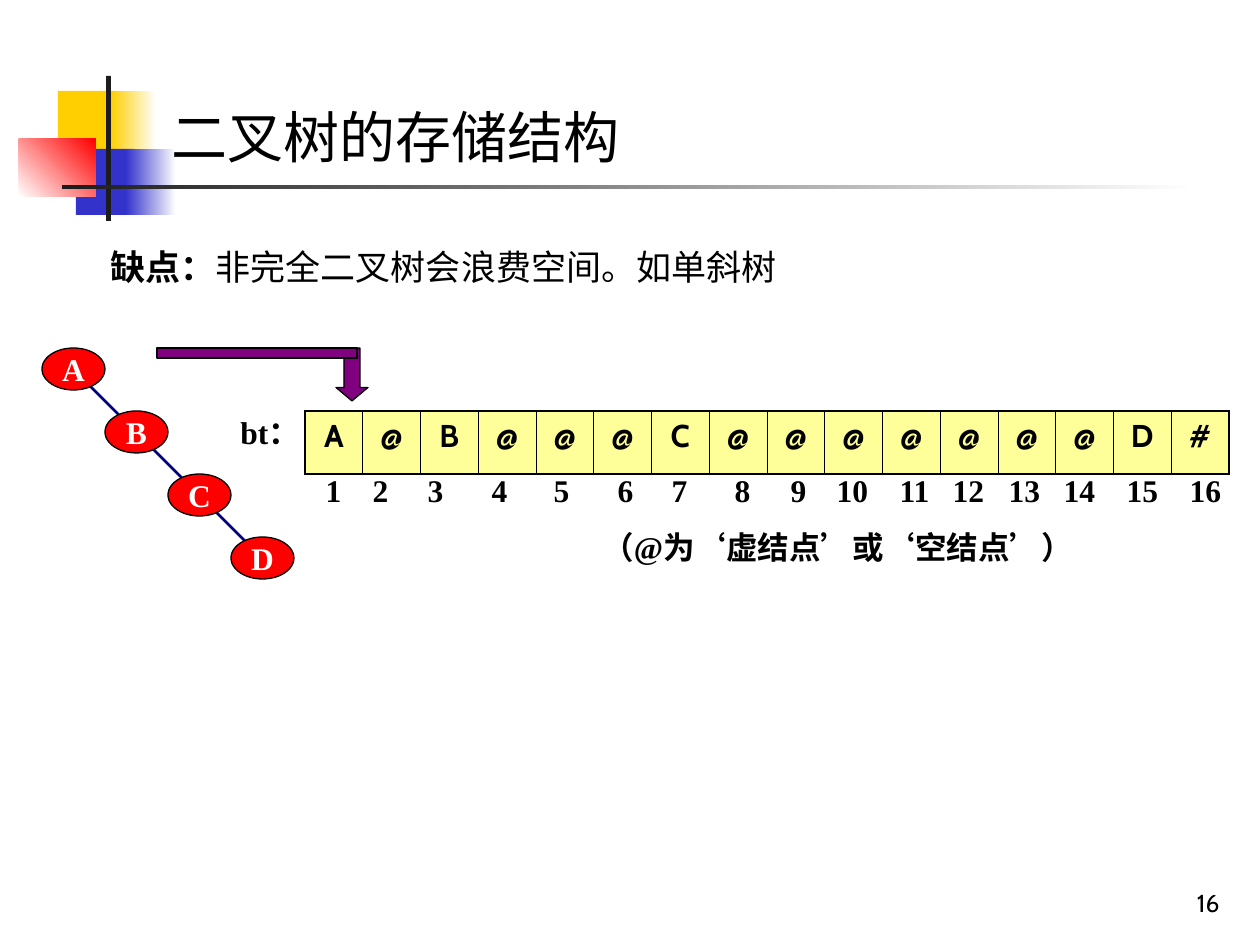
from lxml import etree
from pptx import Presentation
from pptx import util as u
from pptx.dml.color import RGBColor
from pptx.enum import shapes, text
from pptx.oxml import ns

BLACK = RGBColor(0x00, 0x00, 0x00)
WHITE = RGBColor(0xFF, 0xFF, 0xFF)
CHARCOAL = RGBColor(0x1C, 0x1C, 0x1C)
GOLD = RGBColor(0xFF, 0xCF, 0x01)
BLUE = RGBColor(0x33, 0x33, 0xCC)
RED = RGBColor(0xFF, 0x00, 0x00)
NAVY = RGBColor(0x00, 0x00, 0x80)
PURPLE = RGBColor(0x80, 0x00, 0x80)
PALE_YELLOW = RGBColor(0xFF, 0xFF, 0x99)

SANS, SERIF, CJK = "Cabin", "Times New Roman", "Noto Sans CJK JP"
NODES = "ABCD"
STORED = "A@B@@@C@@@@@@@D#"
INDEX_CENTERS = [334, 381, 436, 500, 562, 626, 680, 743,
                 799, 853, 915, 969, 1025, 1080, 1143, 1206]
ARRAY_LEFT = 212
INSET = 13


def px(length):
    """Turn pixels into EMU."""
    return u.Emu(round(length * 914400 / 126))


def child(parent, tag, **attributes):
    """Append a DrawingML element to a parent."""
    values = {name: str(value) for name, value in attributes.items()}
    return etree.SubElement(parent, ns.qn(tag), values)


def add_span(para, words, *, size=18, font=SERIF, bold=False, color=BLACK):
    """Add a formatted run to a paragraph."""
    span = para.add_run()
    span.text = words
    span.font.size = u.Pt(size)
    span.font.bold = bold
    span.font.color.rgb = color
    span.font.name = font
    child(span.font._element, "a:ea", typeface=CJK)


def add_box(page, left, top, width, height, anchor=text.MSO_ANCHOR.TOP):
    """Add a wrapping text box and return its frame."""
    frame = page.shapes.add_textbox(px(left), px(top), px(width), px(height)).text_frame
    frame.word_wrap = True
    frame.vertical_anchor = anchor
    return frame


def add_shape(parent, kind, bounds, fill, outline=None, fade=None, angle=0):
    """Add a preset shape with a solid fill or a two-colour gradient."""
    shape = parent.shapes.add_shape(kind, *map(px, bounds))
    shape.shadow.inherit = False
    if fade is None:
        shape.fill.solid()
        shape.fill.fore_color.rgb = fill
    else:
        shape.fill.gradient()
        shape.fill.gradient_angle = angle
        for stop, color in zip(shape.fill.gradient_stops, (fill, fade)):
            stop.color.rgb = color
    if outline is None:
        shape.line.fill.background()
    else:
        shape.line.color.rgb = outline
        shape.line.width = u.Pt(0.75)
    return shape


def add_decoration(page):
    """Draw the coloured blocks and rules beside the title."""
    blocks = [
        ((58, 91, 60, 66), GOLD, None, 0),
        ((111, 91, 45, 66), GOLD, WHITE, 0),
        ((76, 149, 58, 66), BLUE, None, 0),
        ((126, 149, 50, 66), BLUE, WHITE, 0),
        ((19, 139, 77, 58), WHITE, RED, 45),
        ((106, 76, 5, 145), CHARCOAL, None, 0),
        ((62, 185, 1134, 4), CHARCOAL, WHITE, 0),
    ]
    for bounds, fill, fade, angle in blocks:
        add_shape(page, shapes.MSO_SHAPE.RECTANGLE, bounds, fill, fade=fade, angle=angle)


def add_tree(page):
    """Draw the right-skewed tree as a diagonal of nodes."""
    tree = page.shapes.add_group_shape()
    step = 63
    reach = step * (len(NODES) - 1)
    edge = tree.shapes.add_connector(
        shapes.MSO_CONNECTOR.STRAIGHT, px(73), px(369), px(73 + reach), px(369 + reach))
    edge.line.color.rgb = NAVY
    edge.line.width = u.Pt(1.5)
    child(edge._element.spPr, "a:effectLst")
    for index, label in enumerate(NODES):
        bounds = (42 + index * step, 348 + index * step, 63, 42)
        node = add_shape(tree, shapes.MSO_SHAPE.OVAL, bounds, RED, BLACK)
        frame = node.text_frame
        frame.word_wrap = False
        frame.vertical_anchor = text.MSO_ANCHOR.MIDDLE
        para = frame.paragraphs[0]
        para.alignment = text.PP_ALIGN.CENTER
        add_span(para, label, bold=True, color=WHITE)


def add_border(cell, side, width):
    """Draw one black side of a table cell."""
    line = child(cell._tc.get_or_add_tcPr(), f"a:ln{side}", w=u.Pt(width))
    child(child(line, "a:solidFill"), "a:srgbClr", val=BLACK)


def add_array(page):
    """Add the one-row table of stored nodes."""
    count = len(STORED)
    table = page.shapes.add_table(1, count, px(305), px(411), px(924), px(63)).table
    table.first_row = False
    table.horz_banding = False
    for index, value in enumerate(STORED):
        table.columns[index].width = px(924 / count)
        cell = table.cell(0, index)
        add_border(cell, "L", 1.08 if index == 0 else 0.45)
        add_border(cell, "R", 1.08 if index == count - 1 else 0.45)
        add_border(cell, "T", 1.08)
        add_border(cell, "B", 1.08)
        cell.fill.solid()
        cell.fill.fore_color.rgb = PALE_YELLOW
        para = cell.text_frame.paragraphs[0]
        para.alignment = text.PP_ALIGN.CENTER
        add_span(para, value, font=SANS, bold=value != "@")


def add_array_labels(page):
    """Write the array name, its indices and the note on empty nodes."""
    frame = add_box(page, ARRAY_LEFT, 407, 1049, 166)
    name = frame.paragraphs[0]
    indices, note = frame.add_paragraph(), frame.add_paragraph()
    name._p.get_or_add_pPr().set("marL", str(px(16)))
    note._p.get_or_add_pPr().set("marL", str(px(378)))
    tabs = child(indices._p.get_or_add_pPr(), "a:tabLst")
    for center in INDEX_CENTERS:
        child(tabs, "a:tab", pos=px(center - ARRAY_LEFT - INSET), algn="ctr")
    for para in (indices, note):
        para.space_before = u.Pt(11.2)
    add_span(name, "bt：", bold=True)
    numbers = range(1, len(STORED) + 1)
    add_span(indices, "".join(f"\t{number}" for number in numbers), bold=True)
    add_span(note, "（@为‘虚结点’或‘空结点’）", bold=True)


def add_pointer(page):
    """Draw the bent arrow that leads to the first array cell."""
    pointer = page.shapes.add_group_shape()
    arrow = add_shape(pointer, shapes.MSO_SHAPE.DOWN_ARROW, (336, 348, 32, 53), PURPLE, BLACK)
    arrow.adjustments[0] = 0.5
    arrow.adjustments[1] = 0.42
    add_shape(pointer, shapes.MSO_SHAPE.RECTANGLE, (157, 348, 200, 10), PURPLE, BLACK)


def main():
    """Build the slide and save it."""
    deck = Presentation()
    deck.slide_width, deck.slide_height = px(1260), px(945)
    page = deck.slides.add_slide(deck.slide_layouts[6])
    add_decoration(page)
    number = add_box(page, 970, 861, 262, 63, text.MSO_ANCHOR.BOTTOM).paragraphs[0]
    number.alignment = text.PP_ALIGN.RIGHT
    add_span(number, "16", size=14, font=SANS)
    drawback = add_box(page, 98, 239, 835, 72).paragraphs[0]
    add_span(drawback, "缺点：", size=20, font=SANS, bold=True)
    add_span(drawback, "非完全二叉树会浪费空间。如单斜树", size=20, font=SANS)
    title = add_box(page, 159, 96, 1101, 81).paragraphs[0]
    add_span(title, "二叉树的存储结构", size=32, font=CJK)
    add_tree(page)
    add_array(page)
    add_array_labels(page)
    add_pointer(page)
    deck.save("out.pptx")


if __name__ == "__main__":
    main()
